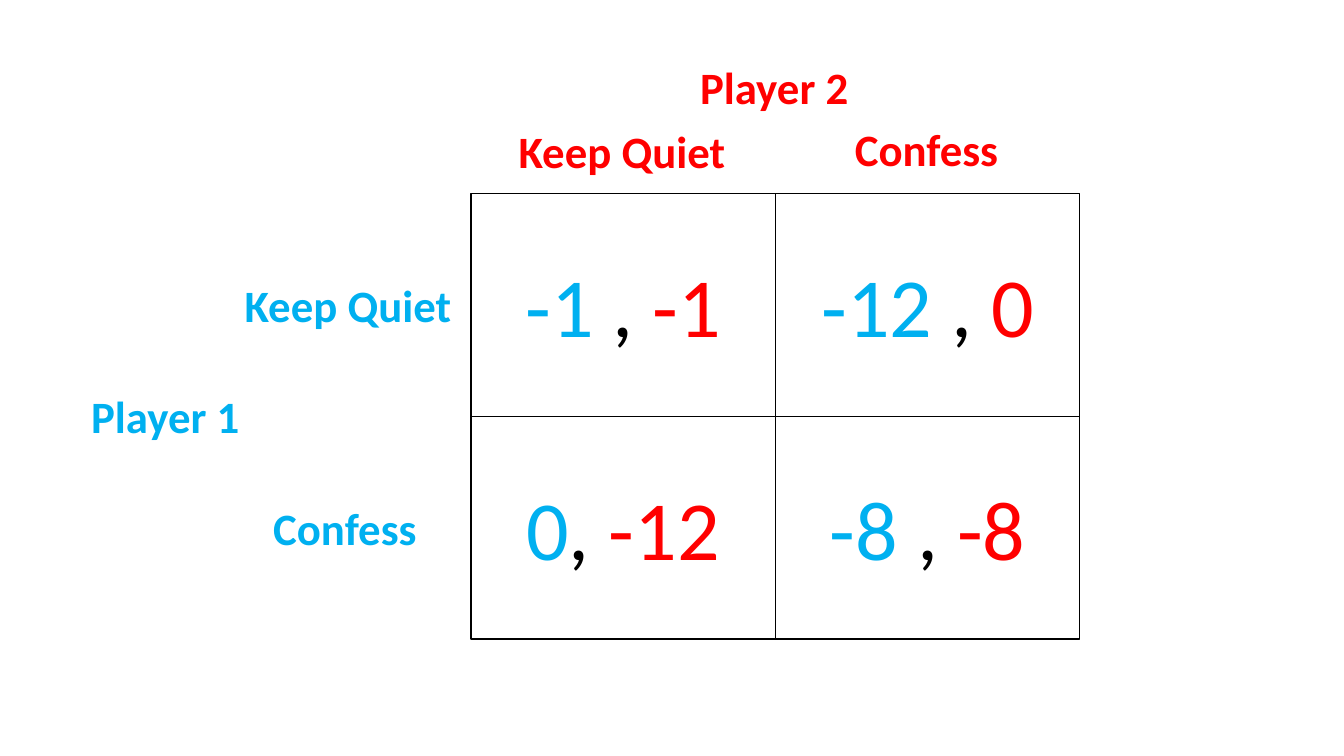
from dataclasses import dataclass

from lxml import etree
from pptx import Presentation
from pptx import util as u
from pptx.dml.color import RGBColor
from pptx.enum import shapes, text


@dataclass(frozen=True)
class Theme:
    """Colours and type sizes of the payoff matrix."""
    font: str = "Calibri"
    paper: str = "FFFFFF"
    ink: str = "000000"
    player_one: str = "00B0F0"
    player_two: str = "FF0000"
    label_size: int = 32
    payoff_size: int = 60
    frame_width: float = 1
    rule_width: float = 0.5


class PayoffSlide:
    """Draws on one slide, with places in columns and rows of the matrix."""
    left, top = 4.67, 1.92
    column, row = 3.02, 2.21

    def __init__(self, page, theme):
        self.page, self.theme = page, theme

    def x(self, columns):
        return u.Inches(self.left + columns * self.column)

    def y(self, rows):
        return u.Inches(self.top + rows * self.row)

    def frame(self, columns, rows):
        box = self.page.shapes.add_shape(
            shapes.MSO_SHAPE.RECTANGLE, self.x(0), self.y(0),
            self.x(columns) - self.x(0), self.y(rows) - self.y(0))
        box.shadow.inherit = False
        box.fill.solid()
        box.fill.fore_color.rgb = RGBColor.from_string(self.theme.paper)
        self.stroke(box.line, self.theme.frame_width)

    def rule(self, start, end):
        line = self.page.shapes.add_connector(
            shapes.MSO_CONNECTOR.STRAIGHT, self.x(start[0]), self.y(start[1]),
            self.x(end[0]), self.y(end[1]))
        self.stroke(line.line, self.theme.rule_width)
        properties = line._element.spPr
        namespace = etree.QName(properties.find("{*}ln")).namespace
        etree.SubElement(properties, f"{{{namespace}}}effectLst")

    def stroke(self, line, width):
        line.color.rgb = RGBColor.from_string(self.theme.ink)
        line.width = u.Pt(width)

    def words(self, center, size, spans, align, bold=None):
        width, height = u.Inches(size[0]), u.Inches(size[1])
        box = self.page.shapes.add_textbox(
            self.x(center[0]) - width // 2, self.y(center[1]) - height // 2,
            width, height)
        frame = box.text_frame
        frame.word_wrap = False
        frame.auto_size = text.MSO_AUTO_SIZE.SHAPE_TO_FIT_TEXT
        para = frame.paragraphs[0]
        para.alignment = align
        for wording, color, points in spans:
            span = para.add_run()
            span.text = wording
            span.font.name = self.theme.font
            span.font.size = u.Pt(points)
            span.font.bold = bold
            span.font.color.rgb = RGBColor.from_string(color)

    def label(self, center, width, wording, color):
        self.words(center, (width, 0.64),
                   [(wording, color, self.theme.label_size)],
                   text.PP_ALIGN.LEFT, bold=True)

    def payoff(self, center, width, first, comma, second):
        theme = self.theme
        colors = theme.player_one, theme.ink, theme.player_two
        spans = [(wording, color, theme.payoff_size)
                 for wording, color in zip((first, comma, second), colors)]
        self.words(center, (width, 1.11), spans, text.PP_ALIGN.CENTER)


theme = Theme()
deck = Presentation()
deck.slide_width, deck.slide_height = u.Inches(13.33), u.Inches(7.5)
slide = PayoffSlide(deck.slides.add_slide(deck.slide_layouts[6]), theme)

slide.frame(2, 2)
slide.rule((0, 1), (2, 1))
slide.rule((1, 0), (1, 2))

payoffs = [
    [(2.16, "-1 ", ", ", "-1"), (2.33, "-12", " , ", "0")],
    [(2.14, "0", ", ", "-12"), (2.16, "-8 ", ", ", "-8")],
]
for row, outcomes in enumerate(payoffs):
    for column, outcome in enumerate(outcomes):
        slide.payoff((column + 0.5, row + 0.5), *outcome)

labels = [
    ("Keep Quiet", 2.27, (0.5, -0.19), (-0.4, 0.5)),
    ("Confess", 1.64, (1.5, -0.2), (-0.41, 1.5)),
]
for wording, width, above, beside in labels:
    slide.label(above, width, wording, theme.player_two)
    slide.label(beside, width, wording, theme.player_one)
slide.label((1, -0.48), 1.69, "Player 2", theme.player_two)
slide.label((-1, 1), 1.69, "Player 1", theme.player_one)

deck.save("out.pptx")
